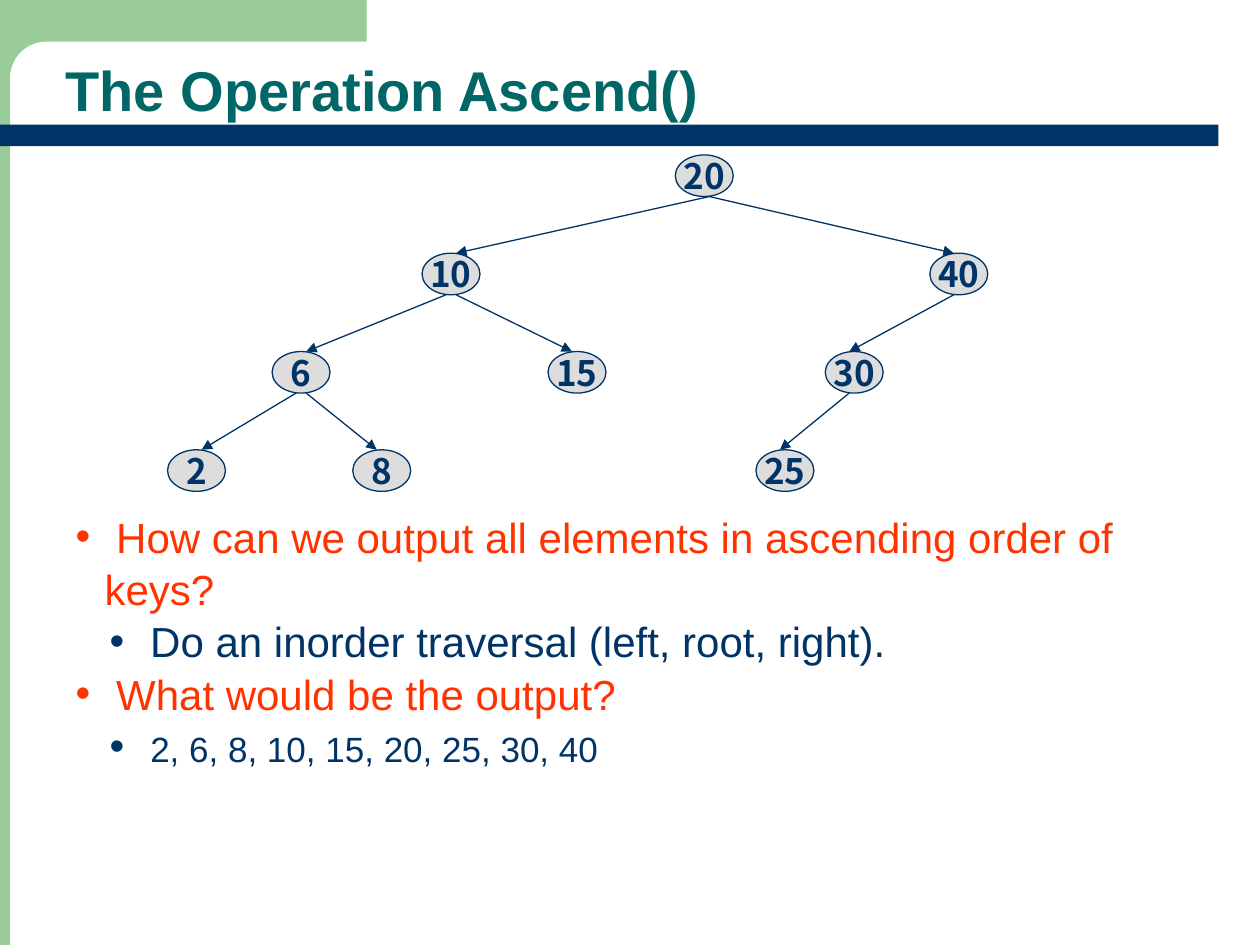
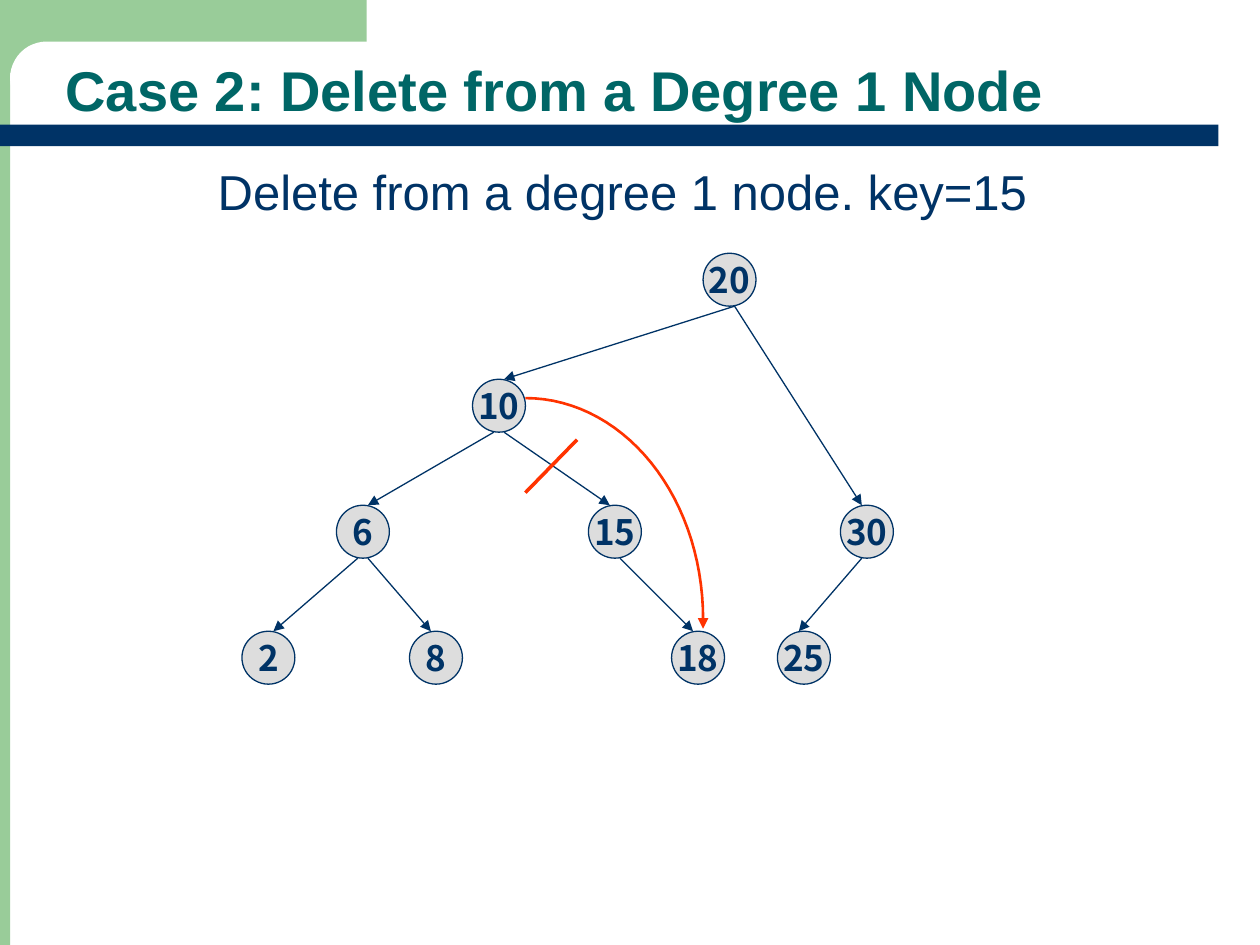
from math import cos, pi, sin

from lxml.etree import SubElement
from pptx import Presentation
from pptx.dml.color import RGBColor
from pptx.enum.shapes import MSO_CONNECTOR as Connector, MSO_SHAPE as Shape
from pptx.enum.text import MSO_ANCHOR as Anchor, MSO_AUTO_SIZE as AutoSize, PP_ALIGN as Align
from pptx.oxml.ns import qn
from pptx.util import Inches, Pt

NAVY, TEAL, GREEN = "003366", "006666", "99CC99"
RED, GRAY, WHITE = "FF3300", "DDDDDD", "FFFFFF"
TEXT_FONT, NODE_FONT = "Arial", "Noto Sans CJK KR"

# Shared background: shape, (left, top, width, height), colour
BACKGROUND = [
    (Shape.RECTANGLE, (0, 0, 0.08, 7.5), GREEN),
    (Shape.RECTANGLE, (0, 0, 2.91, 0.58), GREEN),
    (Shape.ROUNDED_RECTANGLE, (0.08, 0.33, 5.58, 0.58), WHITE),
    (Shape.RECTANGLE, (0, 0.99, 9.67, 0.17), NAVY),
]
TITLE_BOX = (0.42, 0.36, 9.25, 0.67)

# Trees: nodes map a key to (left, level), edges go from parent to child
ASCEND_TREE = {
    "root": 20, "top": 1.23, "level_gap": 0.78, "node_size": (0.46, 0.33),
    "nodes": {20: (5.36, 0), 10: (3.35, 1), 40: (7.38, 1),
              6: (2.16, 2), 15: (4.35, 2), 30: (6.55, 2),
              2: (1.33, 3), 8: (2.8, 3), 25: (6, 3)},
    "edges": [(20, 10), (20, 40), (10, 6), (10, 15), (40, 30),
              (6, 2), (6, 8), (30, 25)],
}
DELETE_TREE = {
    "root": 20, "top": 2.01, "level_gap": 1, "node_size": (0.42, 0.42),
    "nodes": {20: (5.58, 0), 10: (3.75, 1),
              6: (2.67, 2), 15: (4.67, 2), 30: (6.67, 2),
              2: (1.92, 3), 8: (3.25, 3), 18: (5.33, 3), 25: (6.17, 3)},
    "edges": [(20, 10), (20, 30), (10, 6), (10, 15),
              (6, 2), (6, 8), (15, 18), (30, 25)],
}
EDGE_SHIFT = 0.04

# Questions and answers: level, text, size
QUESTIONS = [
    (0, "How can we output all elements in ascending order of keys?", 24),
    (1, "Do an inorder traversal (left, root, right).", 24),
    (0, "What would be the output?", 24),
    (1, "2, 6, 8, 10, 15, 20, 25, 30, 40", 20),
]
QUESTIONS_BOX = (0.5, 3.99, 9.29, 2.2)
LEVELS = [(RED, 0.23), (NAVY, 0.5)]
BULLET_HANG = 0.23

CAPTION = "Delete from a degree 1 node. key=15"
CAPTION_BOX = (1.63, 1.23, 6.8, 0.57)
CUT = ((4.17, 3.91), (4.58, 3.49))
BYPASS_CENTER, BYPASS_RADII, BYPASS_END = (4.17, 4.91), (1.41, 1.75), (5.58, 4.99)
BYPASS_STEPS = 30


def color(hex_code):
    return RGBColor.from_string(hex_code)


def inches(values):
    return [Inches(value) for value in values]


def style_font(font, size, hex_code, name=TEXT_FONT, bold=False):
    font.size, font.name, font.bold = Pt(size), name, bold
    font.color.rgb = color(hex_code)


def place(shape, box):
    shape.left, shape.top, shape.width, shape.height = inches(box)


def add_filled(slide, kind, box, fill):
    shape = slide.shapes.add_shape(kind, *inches(box))
    shape.shadow.inherit = False
    shape.fill.solid()
    shape.fill.fore_color.rgb = color(fill)
    shape.line.fill.background()
    return shape


def style_line(line, hex_code, width, arrow=False):
    line.color.rgb = color(hex_code)
    line.width = Pt(width)
    if arrow:
        SubElement(line._get_or_add_ln(), qn("a:tailEnd"), type="triangle")


def add_line(slide, start, end, hex_code=NAVY, width=0.75, arrow=False):
    connector = slide.shapes.add_connector(Connector.STRAIGHT, *inches(start + end))
    style_line(connector.line, hex_code, width, arrow)
    SubElement(connector.element.spPr, qn("a:effectLst"))


def move_background_to_master(presentation, slide):
    tree = presentation.slide_master.shapes.element
    for position, (kind, box, fill) in enumerate(BACKGROUND, start=2):
        shape = add_filled(slide, kind, box, fill)
        if kind == Shape.ROUNDED_RECTANGLE:
            shape.adjustments[0] = 0.5
        tree.insert(position, shape.element)


def add_titled_slide(presentation, layout_name, title_text):
    layout = presentation.slide_layouts.get_by_name(layout_name)
    slide = presentation.slides.add_slide(layout)
    title = slide.shapes.title
    place(title, TITLE_BOX)
    frame = title.text_frame
    frame.text = title_text
    frame.auto_size, frame.vertical_anchor = AutoSize.NONE, Anchor.BOTTOM
    paragraph = frame.paragraphs[0]
    paragraph.alignment, paragraph.line_spacing = Align.LEFT, 0.9
    style_font(paragraph.font, 32, TEAL, bold=True)
    return slide


def add_tree(slide, tree):
    width, height = tree["node_size"]
    corners = {key: (left, tree["top"] + level * tree["level_gap"])
               for key, (left, level) in tree["nodes"].items()}

    for key, corner in corners.items():
        node = add_filled(slide, Shape.OVAL, corner + (width, height), GRAY)
        style_line(node.line, NAVY, 0.75)
        frame = node.text_frame
        frame.word_wrap, frame.vertical_anchor = False, Anchor.MIDDLE
        frame.text = str(key)
        paragraph = frame.paragraphs[0]
        paragraph.alignment = Align.CENTER
        style_font(paragraph.font, 20, NAVY, NODE_FONT, bold=True)

    # Edges leave and arrive slightly beside the middle of a node
    root = tree["root"]
    for parent, child in tree["edges"]:
        leave = EDGE_SHIFT if parent == root or child > parent else -EDGE_SHIFT
        arrive = EDGE_SHIFT if child < parent and child < root else -EDGE_SHIFT
        (parent_left, parent_top), (child_left, child_top) = corners[parent], corners[child]
        add_line(slide, (parent_left + width / 2 + leave, parent_top + height),
                 (child_left + width / 2 + arrive, child_top), arrow=True)


def set_bullet(paragraph, hex_code, margin):
    properties = paragraph._p.get_or_add_pPr()
    properties.set("marL", str(Inches(margin)))
    properties.set("indent", str(-Inches(BULLET_HANG)))
    bullet_color = SubElement(properties, qn("a:buClr"))
    SubElement(bullet_color, qn("a:srgbClr"), val=hex_code)
    SubElement(properties, qn("a:buFont"), typeface=TEXT_FONT)
    SubElement(properties, qn("a:buChar"), char="•")


def fill_questions(body):
    place(body, QUESTIONS_BOX)
    frame = body.text_frame
    frame.auto_size, frame.vertical_anchor = AutoSize.NONE, Anchor.TOP
    for index, (level, text, size) in enumerate(QUESTIONS):
        paragraph = frame.add_paragraph() if index else frame.paragraphs[0]
        hex_code, margin = LEVELS[level]
        set_bullet(paragraph, hex_code, margin)
        paragraph.level = level
        paragraph.space_before, paragraph.line_spacing = Pt(0), 1.04
        style_font(paragraph.font, 24, hex_code)
        # The leading space keeps every bullet at the same size
        for part, part_size in ((" ", 24), (text, size)):
            run = paragraph.add_run()
            run.text = part
            run.font.size = Pt(part_size)


def add_caption(slide):
    frame = slide.shapes.add_textbox(*inches(CAPTION_BOX)).text_frame
    frame.word_wrap = True
    frame.text = CAPTION
    style_font(frame.paragraphs[0].font, 28, NAVY)


def add_bypass(slide):
    (center_x, center_y), (radius_x, radius_y) = BYPASS_CENTER, BYPASS_RADII
    angles = [pi / 2 * step / BYPASS_STEPS for step in range(BYPASS_STEPS + 1)]
    points = [inches((center_x + radius_x * sin(angle), center_y - radius_y * cos(angle)))
              for angle in angles]
    builder = slide.shapes.build_freeform(*points[0])
    builder.add_line_segments(points[1:] + [inches(BYPASS_END)], close=False)
    curve = builder.convert_to_shape()
    curve.shadow.inherit = False
    curve.fill.background()
    style_line(curve.line, RED, 1.5, arrow=True)


def main():
    presentation = Presentation()
    presentation.slide_width, presentation.slide_height = Inches(10), Inches(7.5)

    # Ascending output
    slide = add_titled_slide(presentation, "Title and Content", "The Operation Ascend()")
    move_background_to_master(presentation, slide)
    fill_questions(slide.placeholders[1])
    add_tree(slide, ASCEND_TREE)

    # Deletion of a node with one child
    slide = add_titled_slide(presentation, "Title Only", "Case 2: Delete from a Degree 1 Node")
    add_tree(slide, DELETE_TREE)
    add_caption(slide)
    add_line(slide, *CUT, hex_code=RED, width=2)
    add_bypass(slide)

    presentation.save("out.pptx")


if __name__ == "__main__":
    main()
